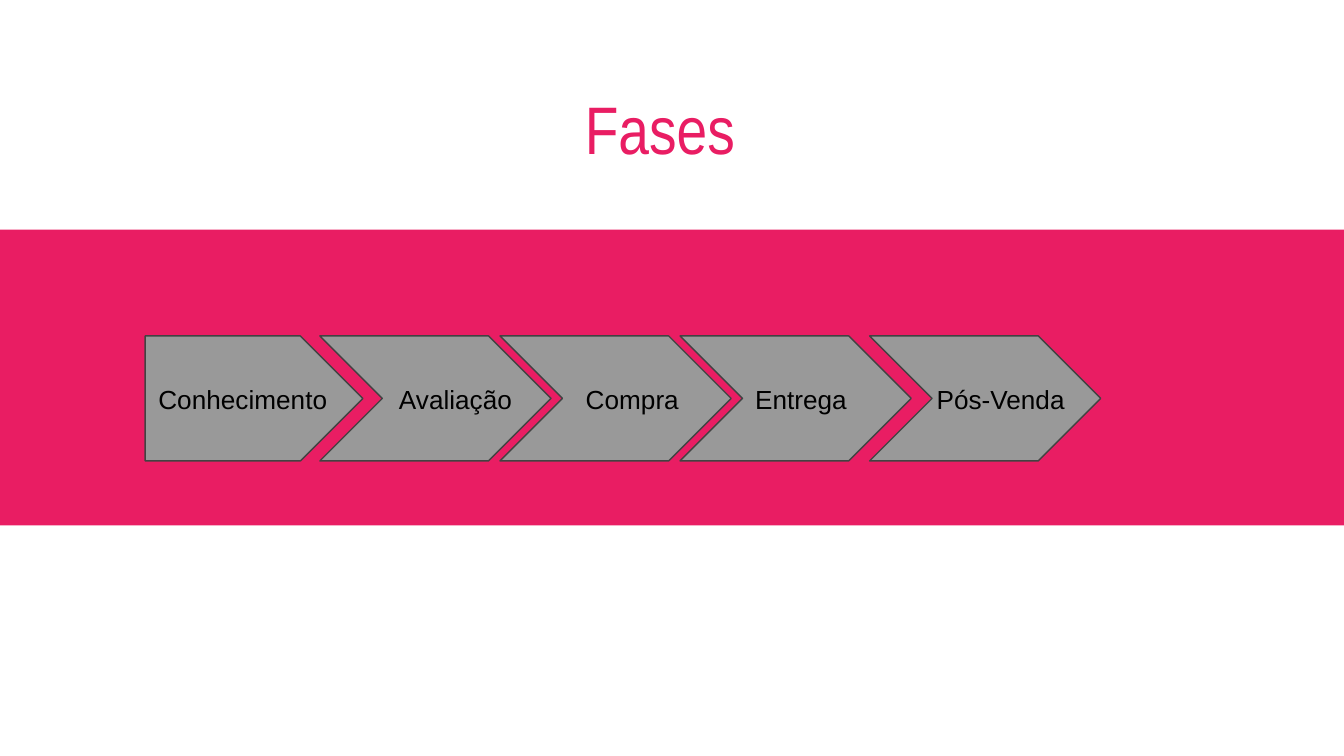
from pptx import Presentation
from pptx.dml.color import RGBColor
from pptx.enum.shapes import MSO_SHAPE
from pptx.enum.text import MSO_ANCHOR, PP_ALIGN
from pptx.util import Inches, Pt

RECTANGLE, PENTAGON, CHEVRON = MSO_SHAPE.RECTANGLE, MSO_SHAPE.PENTAGON, MSO_SHAPE.CHEVRON
MIDDLE, TOP = MSO_ANCHOR.MIDDLE, MSO_ANCHOR.TOP
CENTER, LEFT = PP_ALIGN.CENTER, PP_ALIGN.LEFT

PINK = RGBColor(0xE9, 0x1D, 0x63)
GRAY = RGBColor(0x99, 0x99, 0x99)
DARK = RGBColor(0x42, 0x42, 0x42)
BLACK = RGBColor(0, 0, 0)


def add_filled_shape(kind, left, top, width, height, color):
    sp = s.shapes.add_shape(kind, Inches(left), Inches(top), Inches(width), Inches(height))
    sp.shadow.inherit = False
    sp.fill.solid()
    sp.fill.fore_color.rgb = color
    return sp


def write_text(sp, text, font, size, color, align, anchor):
    tf = sp.text_frame
    frame_format = {"word_wrap": True, "vertical_anchor": anchor}
    for side in ("left", "top", "right", "bottom"):
        frame_format[f"margin_{side}"] = Inches(0.1)
    for name, value in frame_format.items():
        setattr(tf, name, value)
    p = tf.paragraphs[0]
    p.alignment = align
    r = p.add_run()
    r.text = text
    for name, value in {"name": font, "size": Pt(size), "bold": False}.items():
        setattr(r.font, name, value)
    r.font.color.rgb = color


# Slide in 16:9
prs = Presentation()
prs.slide_width = Inches(10)
prs.slide_height = Inches(10 * 9 / 16)
s = prs.slides.add_slide(prs.slide_layouts[5])

# Title
title = s.shapes.title
title.left, title.top = Inches(0.38), Inches(0.12)
title.width, title.height = Inches(9.06), Inches(1.66)
write_text(title, "Fases", "Arial Narrow", 36, PINK, CENTER, MIDDLE)

# Pink band, placed behind the title
band = add_filled_shape(RECTANGLE, 0, 1.71, 10, 2.2, PINK)
band.line.fill.background()
title._element.addprevious(band._element)

# Phase arrows: kind, left, width
arrows = [(PENTAGON, 1.08, 1.62)]
arrows += [(CHEVRON, left, 1.72) for left in (2.38, 3.72, 5.06, 6.47)]
for kind, left, width in arrows:
    arrow = add_filled_shape(kind, left, 2.5, width, 0.93, GRAY)
    arrow.adjustments[0] = 0.5
    arrow.line.color.rgb = DARK
    arrow.line.width = Pt(0.75)

# Phase labels: text, left, width
labels = [
    ("Conhecimento", 1.08, 1.51),
    ("Avaliação", 2.87, 1.1),
    ("Compra", 4.26, 1.1),
    ("Entrega", 5.52, 1.1),
    ("Pós-Venda", 6.87, 1.21),
]
for text, left, width in labels:
    label = s.shapes.add_textbox(Inches(left), Inches(2.75), Inches(width), Inches(0.43))
    write_text(label, text, "Arial", 14, BLACK, LEFT, TOP)

prs.save("out.pptx")
